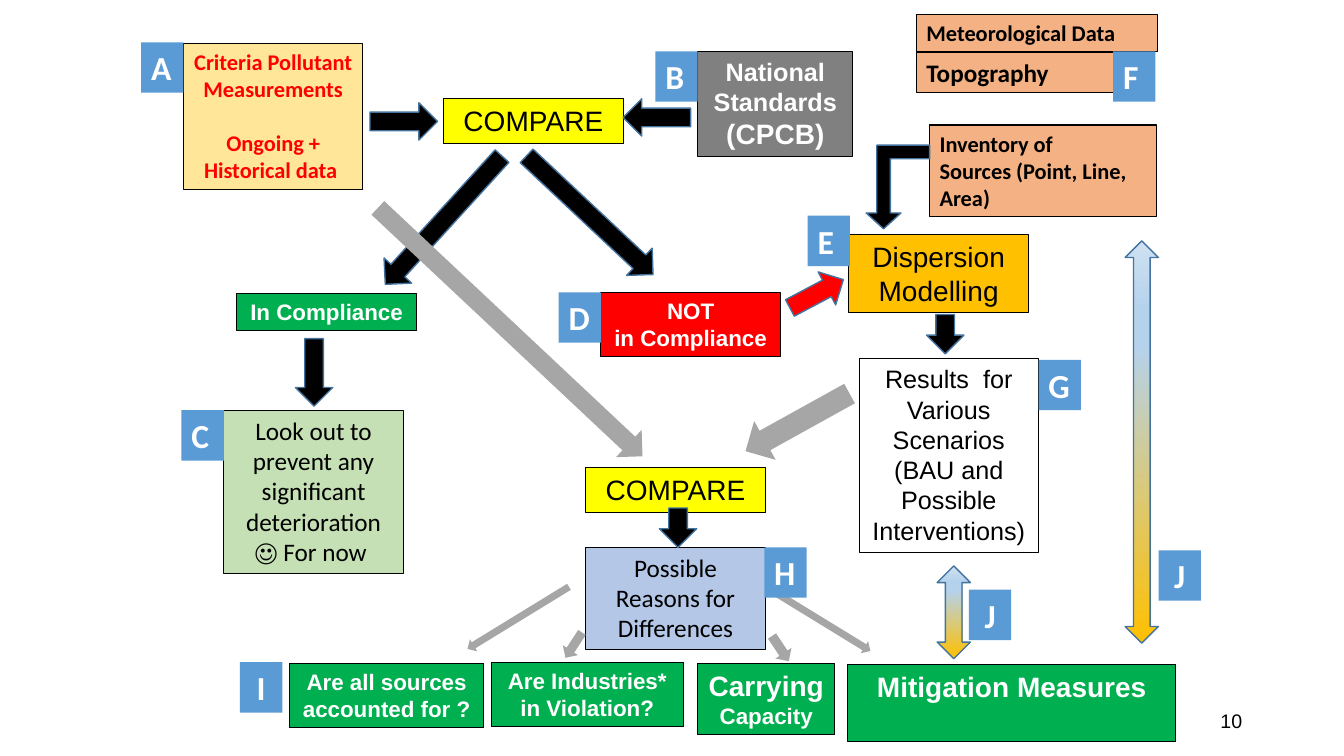
from lxml import etree
from pptx import Presentation
from pptx.dml.color import RGBColor
from pptx.enum.shapes import MSO_SHAPE
from pptx.enum.text import MSO_ANCHOR, PP_ALIGN
from pptx.oxml.ns import qn
from pptx.util import Inches, Pt

COLORS = {
    "black": "000000", "white": "FFFFFF", "red": "FF0000", "yellow": "FFFF00",
    "green": "00B050", "amber": "FFC000", "cream": "FFE699", "gray": "808080",
    "silver": "A6A6A6", "mint": "C5E0B4", "peach": "F4B183", "lilac": "B4C7E7",
    "tag": "5B9BD5", "outline": "43739E", "sky": "B5D2EC", "pale": "CEE1F2",
}
LEFT, CENTER, RIGHT = PP_ALIGN.LEFT, PP_ALIGN.CENTER, PP_ALIGN.RIGHT

# Text styles: font, size, colour, bold, alignment
STYLES = {
    "compare": dict(font="Arial", size=20),
    "plain": dict(font="Arial", size=18),
    "note": dict(size=18),
    "strong": dict(font="Arial", size=16, color="white", bold=True),
    "title": dict(font="Arial", size=20, color="white", bold=True),
    "standard": dict(font="Arial", size=18, color="white", bold=True),
    "criteria": dict(size=16, color="red", bold=True, gap=19.5),
    "input": dict(size=16, bold=True, align=LEFT),
    "input_big": dict(size=18, bold=True, align=LEFT),
    "tag": dict(size=24, color="white", bold=True, align=LEFT),
    "tag_center": dict(size=24, color="white", bold=True),
    "number": dict(font="Arial", size=14, align=RIGHT),
}

# Boxes: left, top, width, height, fill, style, paragraphs
# A paragraph is a string, or a list of (text, size) runs
BOXES = [
    (4.4, 0.98, 1.78, 0.44, "yellow", "compare", ["COMPARE"]),
    (2.35, 2.91, 1.78, 0.37, "green", "strong", ["In Compliance"]),
    (5.81, 4.64, 1.78, 0.44, "yellow", "compare", ["COMPARE"]),
    (2.87, 6.58, 1.93, 0.64, "green", "strong", ["Are all sources accounted for ?"]),
    (4.87, 6.57, 1.91, 0.64, "green", "strong", ["Are Industries* in Violation?"]),
    (6.92, 6.58, 1.36, 0.71, "green", "title", [[("Carrying ", 20), ("Capacity", 16)]]),
    (8.41, 6.59, 3.25, 0.77, "green", "title", ["Mitigation Measures"]),
    (1.82, 0.43, 1.78, 1.45, "cream", "criteria",
     ["Criteria Pollutant Measurements", "Ongoing + Historical data "]),
    (8.42, 2.33, 1.78, 0.77, "amber", "compare", ["Dispersion Modelling"]),
    (5.96, 2.9, 1.78, 0.64, "red", "strong", ["NOT", "in Compliance"]),
    (2.22, 4.07, 1.78, 1.62, "mint", "note",
     ["Look out to prevent any significant deterioration", "☺ For now "]),
    (6.92, 0.51, 1.54, 1.04, "gray", "standard",
     [[("National Standards ", 18), ("(CPCB)", 20)]]),
    (9.09, 0.14, 2.39, 0.37, "peach", "input", ["Meteorological Data"]),
    (9.09, 0.52, 1.95, 0.4, "peach", "input_big", ["Topography"]),
    (9.22, 1.24, 2.25, 0.91, "peach", "input",
     ["Inventory of", "Sources (Point, Line, Area)"]),
    (8.52, 3.56, 1.78, 1.92, "white", "plain",
     ["Results  for Various Scenarios (BAU and Possible Interventions)"]),
    (5.81, 5.43, 1.78, 1.01, "lilac", "note", ["Possible Reasons for Differences"]),
]

# Right arrows: left, top, width, height, rotation, fill
ARROWS = [
    (3.67, 1.02, 0.67, 0.37, 0, "black"),
    (6.18, 0.98, 0.67, 0.37, 180, "black"),
    (3.54, 2, 1.72, 0.37, 132.3, "black"),
    (4.99, 1.95, 1.72, 0.37, 43.2, "black"),
    (2.78, 3.51, 0.67, 0.37, 90, "black"),
    (9.18, 3.13, 0.39, 0.37, 90, "black"),
    (6.53, 5.05, 0.39, 0.37, 90, "black"),
    (7.8, 2.73, 0.6, 0.37, 332.1, "red"),
    (3.26, 3.11, 3.6, 0.37, 43.2, "silver"),
    (7.32, 3.97, 1.18, 0.44, 151, "silver"),
    (5.54, 6.31, 0.3, 0.18, 123.1, "silver"),
    (7.54, 6.08, 1.18, 0.14, 31.5, "silver"),
    (7.59, 6.34, 0.3, 0.19, 56.4, "silver"),
    (4.55, 6.06, 1.18, 0.14, 148.5, "silver"),
]
BENT_ARROW = (8.59, 1.44, 0.63, 0.83)
BENT_ADJUST = (0.214, 0.275, 0.25)
DOUBLE_ARROWS = [(9, 5.91, 0.92, 0.33), (9.33, 4.22, 3.99, 0.33)]
GRADIENT = [(0, "amber"), (74, "sky"), (83, "sky"), (100, "pale")]

# Letter tags: letter, left, top, style
TAG_SIZE = (0.42, 0.5)
TAGS = [
    ("A", 1.4, 0.42, "tag"), ("B", 6.5, 0.51, "tag"), ("C", 1.8, 4.07, "tag"),
    ("D", 5.54, 2.9, "tag"), ("E", 8.01, 2.14, "tag"), ("F", 11.04, 0.51, "tag"),
    ("G", 10.3, 3.57, "tag"), ("H", 7.58, 5.43, "tag"),
    ("I", 2.38, 6.57, "tag_center"), ("J", 9.61, 5.85, "tag_center"),
    ("J", 11.49, 5.46, "tag_center"),
]
PAGE_NUMBER = ("10", (9.42, 6.95, 3, 0.4))


def rgb(name):
    return RGBColor.from_string(COLORS[name])


def write(sp, paragraphs, font="Calibri", size=18, color="black", bold=False,
          align=CENTER, anchor=MSO_ANCHOR.TOP, gap=0):
    tf = sp.text_frame
    tf.word_wrap = True
    tf.vertical_anchor = anchor
    for i, runs in enumerate(paragraphs):
        p = tf.add_paragraph() if i else tf.paragraphs[0]
        p.alignment = align
        if i and gap:
            p.space_before = Pt(gap)
        for text, points in [(runs, size)] if isinstance(runs, str) else runs:
            r = p.add_run()
            r.text = text
            r.font.name, r.font.size, r.font.bold = font, Pt(points), bold
            r.font.color.rgb = rgb(color)


def add_shape(s, kind, frame, fill=None, line=None, weight=1, rotation=0):
    sp = s.shapes.add_shape(kind, *map(Inches, frame))
    sp.shadow.inherit = False
    sp.rotation = rotation
    if fill:
        sp.fill.solid()
        sp.fill.fore_color.rgb = rgb(fill)
    if line:
        sp.line.color.rgb = rgb(line)
        sp.line.width = Pt(weight)
    else:
        sp.line.fill.background()
    return sp


def fill_gradient(sp, stops):
    sp.fill.gradient()
    sp.fill.gradient_angle = 0
    stop_list = sp.element.spPr.find(".//" + qn("a:gsLst"))
    for old in list(stop_list):
        stop_list.remove(old)
    for percent, color in stops:
        stop = etree.SubElement(stop_list, qn("a:gs"), pos=str(percent * 1000))
        etree.SubElement(stop, qn("a:srgbClr"), val=COLORS[color])


prs = Presentation()
prs.slide_width, prs.slide_height = Inches(13.33), Inches(7.5)
s = prs.slides.add_slide(prs.slide_layouts[6])

# Process boxes
for *frame, fill, style, paragraphs in BOXES:
    sp = add_shape(s, MSO_SHAPE.RECTANGLE, frame, fill, "black", 0.75)
    write(sp, paragraphs, **STYLES[style])

# Flow arrows; only the silver ones have no outline
for *frame, rotation, fill in ARROWS:
    line = None if fill == "silver" else "outline"
    add_shape(s, MSO_SHAPE.RIGHT_ARROW, frame, fill, line, rotation=rotation)

bent = add_shape(s, MSO_SHAPE.BENT_UP_ARROW, BENT_ARROW, "black", "outline", rotation=180)
for i, value in enumerate(BENT_ADJUST):
    bent.adjustments[i] = value

for frame in DOUBLE_ARROWS:
    sp = add_shape(s, MSO_SHAPE.LEFT_RIGHT_ARROW, frame, line="outline", rotation=270)
    fill_gradient(sp, GRADIENT)

# Letter tags
for letter, left, top, style in TAGS:
    sp = add_shape(s, MSO_SHAPE.RECTANGLE, (left, top, *TAG_SIZE), "tag")
    write(sp, [letter], **STYLES[style])

# Page number
number, frame = PAGE_NUMBER
sp = s.shapes.add_textbox(*map(Inches, frame))
write(sp, [number], anchor=MSO_ANCHOR.MIDDLE, **STYLES["number"])

prs.save("out.pptx")
